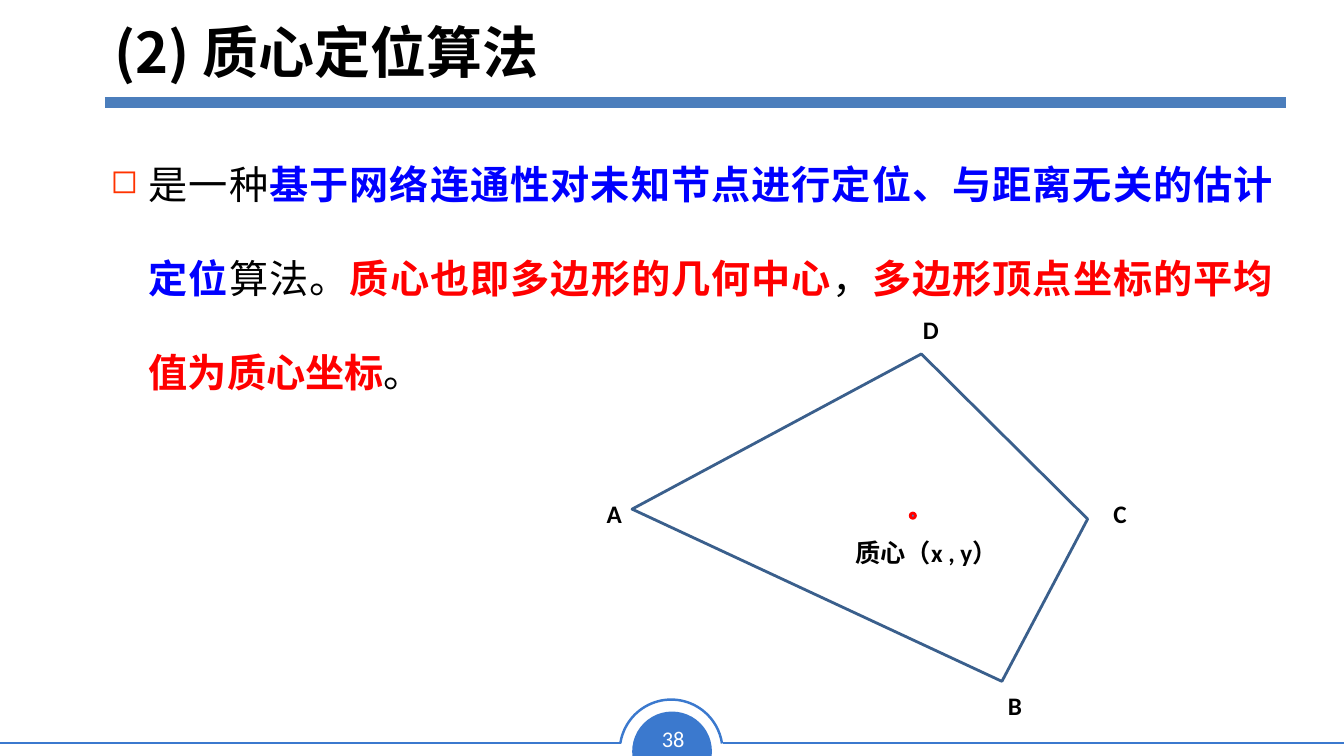
from typing import NamedTuple

from lxml import etree
from pptx import Presentation
from pptx.dml.color import RGBColor
from pptx.enum import shapes, text
from pptx.oxml.ns import qn
from pptx.util import Cm, Pt

COLORS = {
    "black": "000000", "white": "FFFFFF", "blue": "0000FF", "red": "FF0000",
    "bullet": "FF3300", "footer": "3B79CE", "rule": "4B7EBC",
    "polygon": "3A5F8C", "dot": "4F81BD",
}
CJK = "Noto Sans CJK SC"
LATIN = "Calibri"


class Span(NamedTuple):
    words: str
    color: str = "black"
    bold: bool = False


class Line(NamedTuple):
    x1: float
    x2: float
    y: float
    color: str
    width: float


class Label(NamedTuple):
    words: str
    x: float
    y: float
    w: float = 1.8


LINES = [
    Line(18.21, 33.87, 18.72, "footer", 1.77),
    Line(0, 15.65, 18.72, "footer", 1.77),
    Line(2.64, 32.41, 2.59, "rule", 8),
]
BODY = [
    Span("是一种"),
    Span("基于网络连通性对未知节点进行定位、与距离无关的估计定位", "blue", True),
    Span("算法。"),
    Span("质心也即多边形的几何中心", "red", True),
    Span("，"),
    Span("多边形顶点坐标的平均值为质心坐标", "red", True),
    Span("。"),
]
VERTICES = [(23.22, 8.92), (15.93, 12.83), (25.25, 17.17), (27.41, 13.08)]
LABELS = [
    Label("A", 15.04, 12.42),
    Label("B", 25.15, 17.27),
    Label("C", 27.81, 12.42),
    Label("D", 23.01, 7.8),
    Label("质心（x , y）", 21.31, 13.41, 4.19),
]


def rgb(name: str) -> RGBColor:
    """Return the named colour."""
    return RGBColor.from_string(COLORS[name])


def add_run(p, span: Span, size: float, font: str) -> None:
    """Add one formatted run to a paragraph."""
    r = p.add_run()
    r.text = span.words
    r.font.size = Pt(size)
    r.font.bold = span.bold
    r.font.name = font
    r.font.color.rgb = rgb(span.color)
    etree.SubElement(r._r.get_or_add_rPr(), qn("a:ea"), typeface=CJK)


def add_text(container, x: float, y: float, w: float, h: float, wrap: bool = True):
    """Add a text box and return its first paragraph."""
    tf = container.add_textbox(Cm(x), Cm(y), Cm(w), Cm(h)).text_frame
    tf.word_wrap = wrap
    return tf.paragraphs[0]


def style(sp, fill: str | None, line: str | None, width: float = 2) -> None:
    """Set the fill and line of a shape and drop its shadow."""
    sp.shadow.inherit = False
    if fill:
        sp.fill.solid()
        sp.fill.fore_color.rgb = rgb(fill)
    else:
        sp.fill.background()
    if line:
        sp.line.color.rgb = rgb(line)
        sp.line.width = Pt(width)
    else:
        sp.line.fill.background()


def add_round(container, kind, x: float, y: float, size: float):
    """Add a preset shape in a square frame."""
    return container.add_shape(kind, Cm(x), Cm(y), Cm(size), Cm(size))


def add_line(s, line: Line) -> None:
    """Draw one horizontal line."""
    c = s.shapes.add_connector(shapes.MSO_CONNECTOR.STRAIGHT,
                               Cm(line.x1), Cm(line.y), Cm(line.x2), Cm(line.y))
    c.line.color.rgb = rgb(line.color)
    c.line.width = Pt(line.width)
    etree.SubElement(c._element.spPr, qn("a:effectLst"))


def add_frame(s) -> None:
    """Draw the rules and the page number badge."""
    chord = add_round(s.shapes, shapes.MSO_SHAPE.CHORD, 15.93, 17.93, 2.01)
    chord.adjustments[0], chord.adjustments[1] = 35.77, 153.29
    chord.rotation = 112.4
    style(chord, "footer", None)
    for line in LINES:
        add_line(s, line)
    arc = add_round(s.shapes, shapes.MSO_SHAPE.ARC, 15.62, 17.63, 2.59)
    arc.adjustments[0], arc.adjustments[1] = 113.17, 210.98
    style(arc, None, "footer", 1.77)
    p = add_text(s.shapes, 16.38, 18.14, 1.17, 0.94, wrap=False)
    p.alignment = text.PP_ALIGN.CENTER
    add_run(p, Span("38", "white"), 16, LATIN)


def add_title(s) -> None:
    """Place and fill the title."""
    title = s.shapes.title
    title.left, title.top, title.width, title.height = Cm(2.64), Cm(0.13), Cm(29.69), Cm(2.34)
    tf = title.text_frame
    tf.auto_size = text.MSO_AUTO_SIZE.NONE
    tf.vertical_anchor = text.MSO_ANCHOR.MIDDLE
    p = tf.paragraphs[0]
    p.alignment = text.PP_ALIGN.LEFT
    add_run(p, Span("(2) 质心定位算法", bold=True), 40, CJK)


def add_body(s) -> None:
    """Write the bulleted definition."""
    p = add_text(s.shapes, 2.54, 2.72, 29.79, 7.09)
    p.alignment = text.PP_ALIGN.JUSTIFY
    p.line_spacing = 2.0
    pPr = p._p.get_or_add_pPr()
    pPr.set("marL", str(Cm(0.96)))
    pPr.set("indent", str(-Cm(0.96)))
    color = etree.SubElement(pPr, qn("a:buClr"))
    etree.SubElement(color, qn("a:srgbClr"), val=COLORS["bullet"])
    etree.SubElement(pPr, qn("a:buSzPct"), val="85000")
    etree.SubElement(pPr, qn("a:buChar"), char="◻")
    for span in BODY:
        add_run(p, span, 28, CJK)


def add_polygon(s) -> None:
    """Draw the polygon, its centroid and the labels as a group."""
    group = s.shapes.add_group_shape().shapes
    start, *rest = [(Cm(x), Cm(y)) for x, y in VERTICES]
    builder = group.build_freeform(*start)
    builder.add_line_segments(rest, close=True)
    style(builder.convert_to_shape(), None, "polygon")
    dot = add_round(group, shapes.MSO_SHAPE.OVAL, 22.94, 12.93, 0.13)
    style(dot, "dot", "red")
    for label in LABELS:
        p = add_text(group, label.x, label.y, label.w, 1.02)
        add_run(p, Span(label.words, bold=True), 18, LATIN)


def main() -> None:
    """Build and save the slide."""
    prs = Presentation()
    prs.slide_width, prs.slide_height = Cm(33.87), Cm(19.05)
    s = prs.slides.add_slide(prs.slide_layouts[5])
    add_frame(s)
    add_title(s)
    add_body(s)
    add_polygon(s)
    prs.save("out.pptx")


if __name__ == "__main__":
    main()
